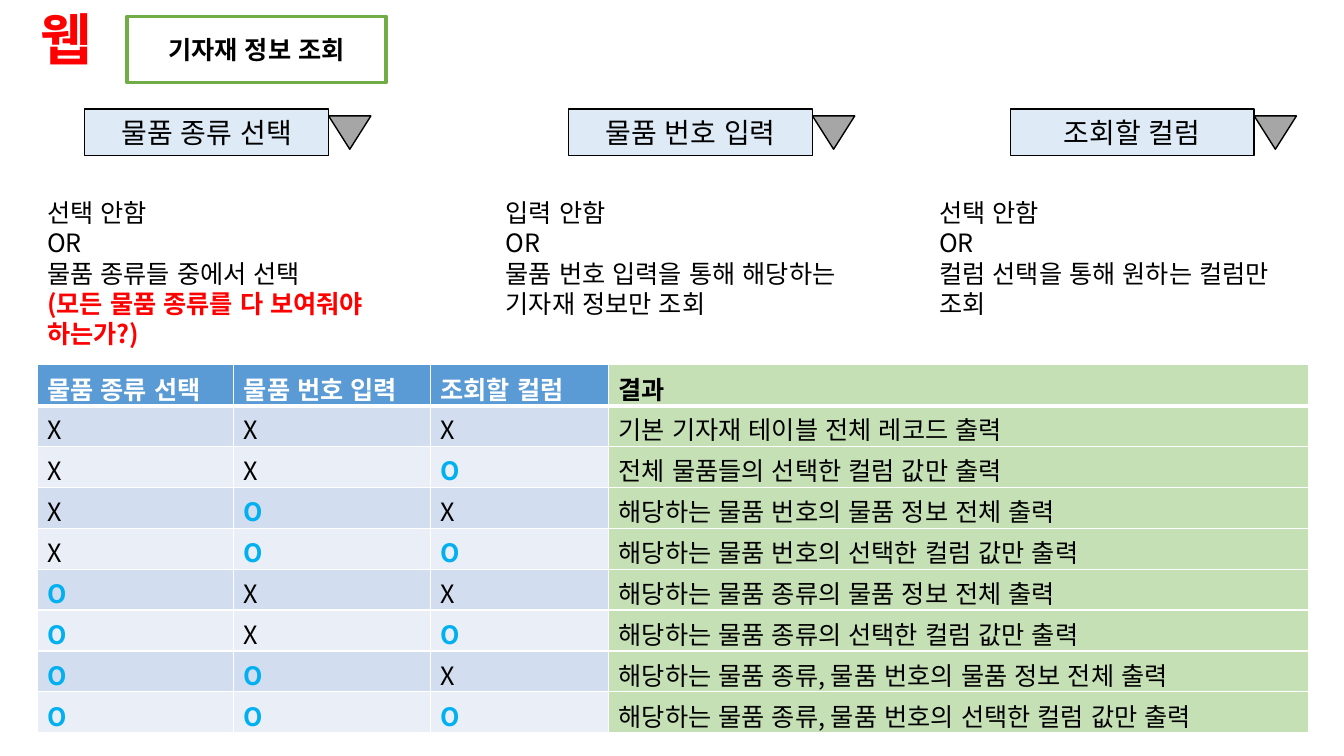
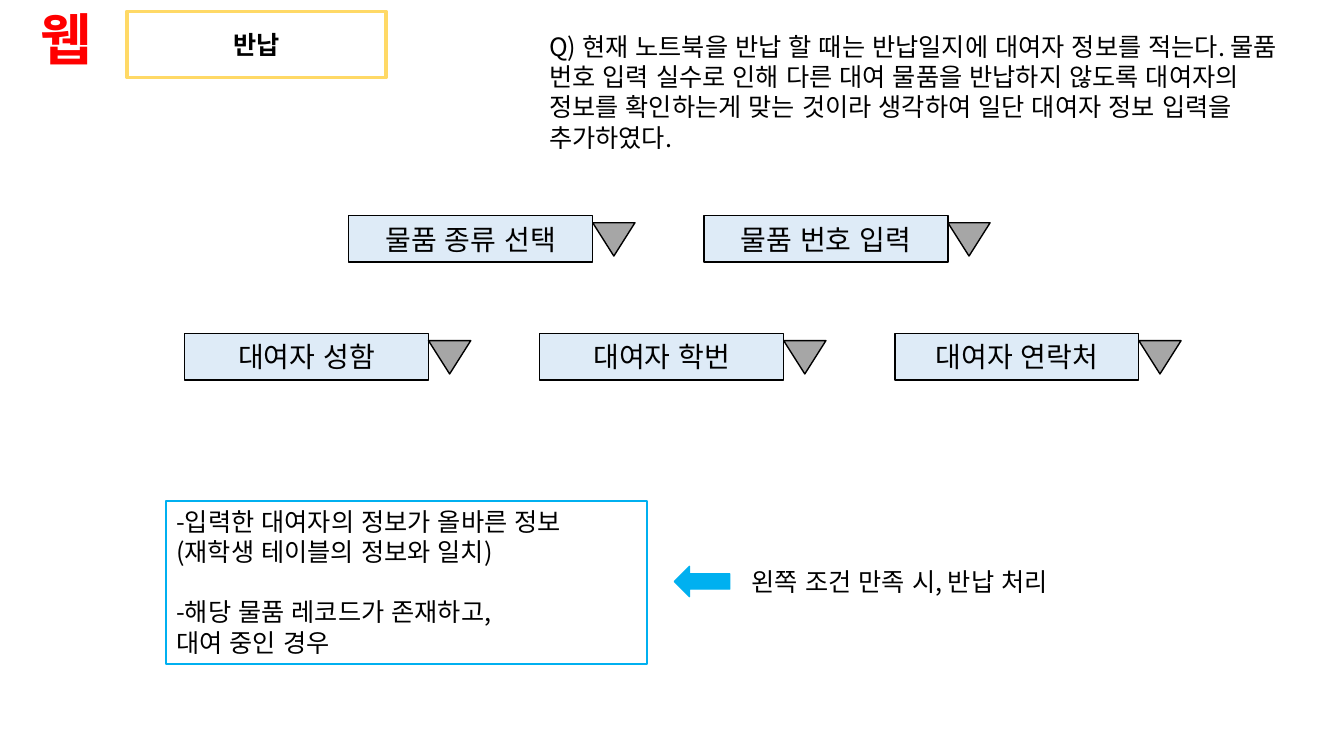
from dataclasses import dataclass
from itertools import product

from lxml.etree import SubElement
from pptx import Presentation
from pptx.dml.color import RGBColor
from pptx.enum.lang import MSO_LANGUAGE_ID
from pptx.enum.shapes import MSO_SHAPE
from pptx.enum.text import MSO_ANCHOR, MSO_AUTO_SIZE, PP_ALIGN
from pptx.oxml.ns import qn
from pptx.util import Pt


@dataclass(frozen=True)
class Theme:
    font: str = "Noto Sans CJK KR"
    black: str = "000000"
    white: str = "FFFFFF"
    red: str = "FF0000"
    green: str = "70AD47"
    yellow: str = "FFD966"
    sky: str = "00B0F0"
    field: str = "DEEBF7"
    grey: str = "A6A6A6"
    header: str = "5B9BD5"
    bands: tuple = ("D2DEEF", "EAEFF7")
    result: str = "C5E0B4"
    tag_size: int = 40
    field_size: int = 20
    body_size: int = 18


THEME = Theme()
FIELD_WIDTH, FIELD_HEIGHT = 174.24, 33.12
ROW_HEIGHT = 29.2
LINE_HEIGHT = 21.6


# Shared helpers
def add_run(paragraph, text, size=THEME.body_size, color=THEME.black, bold=False):
    run = paragraph.add_run()
    run.text = text
    font = run.font
    font.size, font.bold, font.name = Pt(size), bold, THEME.font
    font.language_id = MSO_LANGUAGE_ID.KOREAN
    font.color.rgb = RGBColor.from_string(color)
    SubElement(font._element, qn("a:ea")).set("typeface", THEME.font)


def paint(shape, fill, line, width=1):
    if fill:
        shape.fill.solid()
        shape.fill.fore_color.rgb = RGBColor.from_string(fill)
    else:
        shape.fill.background()
    shape.line.color.rgb = RGBColor.from_string(line)
    shape.line.width = Pt(width)


def add_box(slide, kind, box, fill, line, width=1):
    shape = slide.shapes.add_shape(kind, *map(Pt, box))
    shape.shadow.inherit = False
    paint(shape, fill, line, width)
    return shape


def write_lines(frame, lines):
    """Each line is its text, or a pair of text and run options."""
    for index, line in enumerate(lines):
        text, options = (line, {}) if isinstance(line, str) else line
        paragraph = frame.paragraphs[0] if index == 0 else frame.add_paragraph()
        paragraph.alignment = PP_ALIGN.LEFT
        add_run(paragraph, text, **options)


def add_text(slide, box, lines, wrap=True):
    frame = slide.shapes.add_textbox(*map(Pt, box)).text_frame
    frame.word_wrap = wrap
    frame.auto_size = MSO_AUTO_SIZE.SHAPE_TO_FIT_TEXT
    write_lines(frame, lines)


# Slide heading: red tag and framed title
def add_heading(slide, text, top, line):
    tag = {"size": THEME.tag_size, "color": THEME.red, "bold": True}
    add_text(slide, (21.6, 0, 54.7, 55.4), [("웹", tag)], wrap=False)
    title = slide.shapes.title
    title.left, title.top, title.width, title.height = map(Pt, (90.7, top, 185, 47.5))
    paint(title, THEME.white, line, 2.25)
    frame = title.text_frame
    frame.auto_size = MSO_AUTO_SIZE.NONE
    frame.vertical_anchor = MSO_ANCHOR.MIDDLE
    paragraph = frame.paragraphs[0]
    paragraph.alignment = PP_ALIGN.CENTER
    add_run(paragraph, text, bold=True)


# Input field with its drop-down marker
def add_field(slide, left, top, label):
    field = add_box(slide, MSO_SHAPE.RECTANGLE, (left, top, FIELD_WIDTH, FIELD_HEIGHT),
                    THEME.field, THEME.black)
    field.text_frame.vertical_anchor = MSO_ANCHOR.MIDDLE
    paragraph = field.text_frame.paragraphs[0]
    paragraph.alignment = PP_ALIGN.CENTER
    add_run(paragraph, label, THEME.field_size)
    marker = add_box(slide, MSO_SHAPE.FLOWCHART_EXTRACT,
                     (left + FIELD_WIDTH, top + 5, 30.2, 23.8), THEME.grey, THEME.black)
    marker.rotation = 180


def add_field_row(slide, left, top, labels, pitch=253.7):
    for index, label in enumerate(labels):
        add_field(slide, left + index * pitch, top, label)


# Table of input combinations and their results
def set_borders(cell, row):
    properties = cell._tc.get_or_add_tcPr()
    widths = {"lnL": 1, "lnR": 1, "lnT": 3 if row == 1 else 1, "lnB": 3 if row == 0 else 1}
    for side, width in widths.items():
        border = SubElement(properties, qn(f"a:{side}"), w=str(Pt(width)))
        SubElement(SubElement(border, qn("a:solidFill")), qn("a:srgbClr"), val=THEME.white)


def fill_cell(cell, text, row, is_result):
    set_borders(cell, row)
    background = THEME.header if row == 0 else THEME.bands[(row - 1) % 2]
    cell.fill.solid()
    cell.fill.fore_color.rgb = RGBColor.from_string(THEME.result if is_result else background)
    color = THEME.black
    if row == 0 and not is_result:
        color = THEME.white
    elif text == "O":
        color = THEME.sky
    add_run(cell.text_frame.paragraphs[0], text, color=color, bold=row == 0 or text == "O")


def add_result_table(slide, left, top, widths, headers, results):
    choices = product("XO", repeat=len(headers) - 1)
    rows = [headers] + [(*choice, result) for choice, result in zip(choices, results)]
    box = (left, top, sum(widths), ROW_HEIGHT * len(rows))
    table = slide.shapes.add_table(len(rows), len(widths), *map(Pt, box)).table
    for column, width in zip(table.columns, widths):
        column.width = Pt(width)
    for row, values in enumerate(rows):
        table.rows[row].height = Pt(ROW_HEIGHT)
        for column, text in enumerate(values):
            fill_cell(table.cell(row, column), text, row, column == len(widths) - 1)


# Framed conditions with an arrow and the outcome
def add_conditions(slide, left, top, conditions, outcome):
    frame_box = add_box(slide, MSO_SHAPE.RECTANGLE, (left, top, 343.4, 116.6),
                        None, THEME.sky, 1.5)
    frame = frame_box.text_frame
    frame.word_wrap = True
    frame.vertical_anchor = MSO_ANCHOR.TOP
    frame.auto_size = MSO_AUTO_SIZE.SHAPE_TO_FIT_TEXT
    write_lines(frame, [line for condition in conditions for line in condition])
    start = 0
    for condition in conditions[:-1]:
        start += len(condition)
        frame.paragraphs[start].space_before = Pt(LINE_HEIGHT)
    add_box(slide, MSO_SHAPE.LEFT_ARROW, (left + 362.9, top + 46.8, 39.6, 21.6),
            THEME.sky, THEME.sky)
    add_text(slide, (left + 411.1, top + 43.2, 396, 28.8), [outcome])


# Slide types
def build_lookup(slide):
    add_heading(slide, "기자재 정보 조회", 11.5, THEME.green)
    labels = ("물품 종류 선택", "물품 번호 입력", "조회할 컬럼")
    for left, label in zip((60.5, 406.1, 721.6), labels):
        add_field(slide, left, 77.8, label)
    question = ("(모든 물품 종류를 다 보여줘야 하는가?)", {"color": THEME.red, "bold": True})
    notes = (
        (26.6, 270.7, ["선택 안함", "OR", "물품 종류들 중에서 선택", question]),
        (354.2, 278, ["입력 안함", "OR", "물품 번호 입력을 통해 해당하는 기자재 정보만 조회"]),
        (663.8, 278, ["선택 안함", "OR", "컬럼 선택을 통해 원하는 컬럼만 조회"]),
    )
    for left, width, lines in notes:
        add_text(slide, (left, 137.5, width, 7.2 + LINE_HEIGHT * (len(lines) + 1)), lines)
    add_result_table(slide, 26.6, 260.6, (140.4, 140.4, 127.4, 500), (*labels, "결과"), (
        "기본 기자재 테이블 전체 레코드 출력",
        "전체 물품들의 선택한 컬럼 값만 출력",
        "해당하는 물품 번호의 물품 정보 전체 출력",
        "해당하는 물품 번호의 선택한 컬럼 값만 출력",
        "해당하는 물품 종류의 물품 정보 전체 출력",
        "해당하는 물품 종류의 선택한 컬럼 값만 출력",
        "해당하는 물품 종류, 물품 번호의 물품 정보 전체 출력",
        "해당하는 물품 종류, 물품 번호의 선택한 컬럼 값만 출력",
    ))


def build_return(slide):
    add_heading(slide, "반납", 7.9, THEME.yellow)
    add_text(slide, (385.2, 18.7, 548.6, 94.3), [
        "Q) 현재 노트북을 반납 할 때는 반납일지에 대여자 정보를 적는다. "
        "물품 번호 입력 실수로 인해 다른 대여 물품을 반납하지 않도록 "
        "대여자의 정보를 확인하는게 맞는 것이라 생각하여 "
        "일단 대여자 정보 입력을 추가하였다."])
    add_field_row(slide, 249.1, 154.1, ("물품 종류 선택", "물품 번호 입력"))
    add_field_row(slide, 131.8, 238.3, ("대여자 성함", "대여자 학번", "대여자 연락처"))
    add_conditions(slide, 118.8, 357.8, (
        ("-입력한 대여자의 정보가 올바른 정보", "(재학생 테이블의 정보와 일치)"),
        ("-해당 물품 레코드가 존재하고,", "대여 중인 경우"),
    ), "왼쪽 조건 만족 시, 반납 처리")


presentation = Presentation()
presentation.slide_width, presentation.slide_height = Pt(960), Pt(540)
title_only = presentation.slide_layouts[5]
for build in (build_lookup, build_return):
    build(presentation.slides.add_slide(title_only))
presentation.save("out.pptx")
